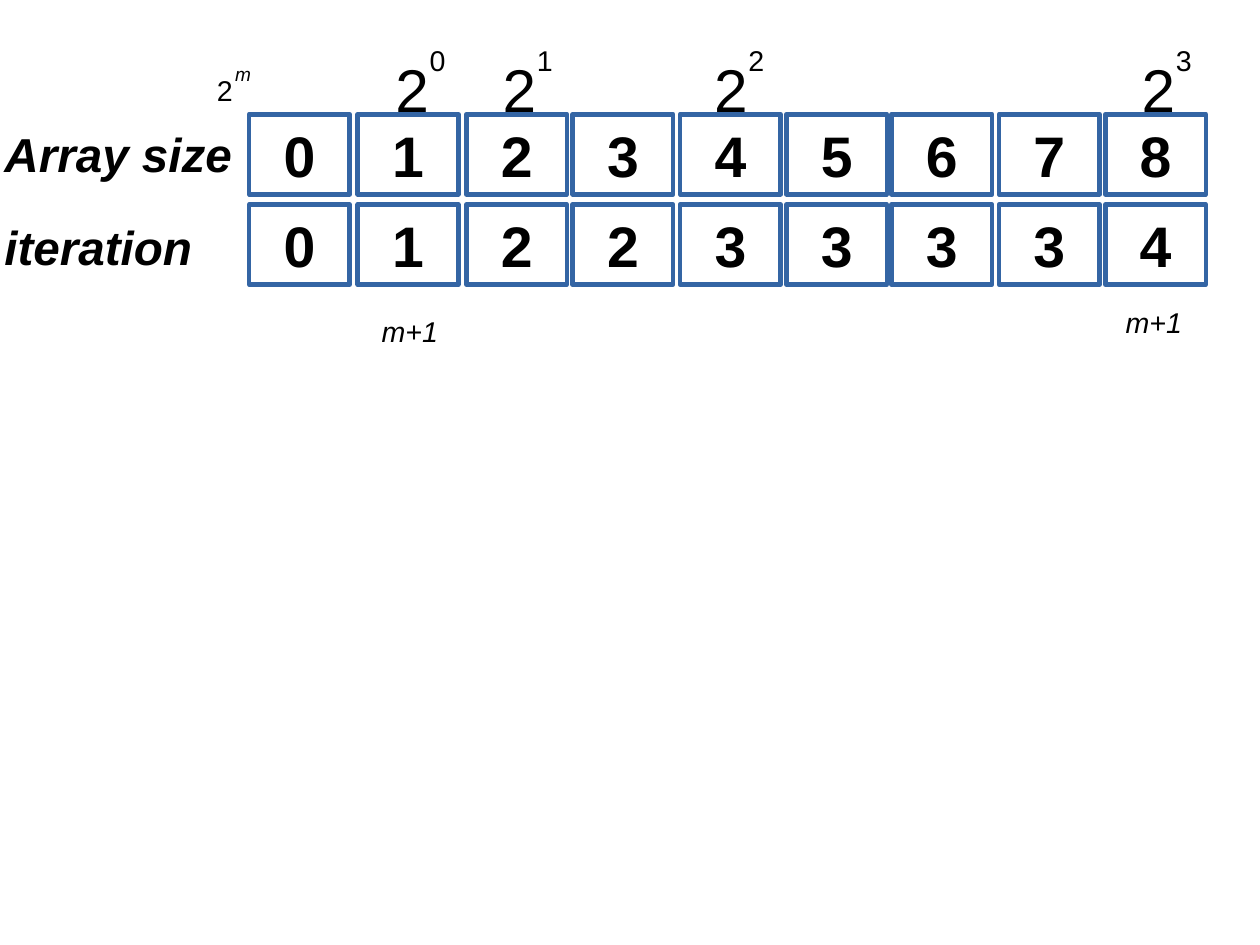
from dataclasses import dataclass

from pptx import Presentation
from pptx.dml.color import RGBColor
from pptx.enum.shapes import MSO_SHAPE
from pptx.enum.text import MSO_ANCHOR, PP_ALIGN
from pptx.util import Inches, Pt

RECTANGLE = MSO_SHAPE.RECTANGLE
MIDDLE = MSO_ANCHOR.MIDDLE
CENTER = PP_ALIGN.CENTER
BLANK_LAYOUT = 6

# The slide measures 28 by 21 centimetres
CM_PER_INCH = 2.54
SLIDE_WIDTH, SLIDE_HEIGHT = 28 / CM_PER_INCH, 21 / CM_PER_INCH


@dataclass(frozen=True)
class Theme:
    font: str = "Arial"
    ink: RGBColor = RGBColor(0x00, 0x00, 0x00)
    border: RGBColor = RGBColor(0x34, 0x65, 0xA4)
    border_width: float = 2.89
    cell_size: int = 36
    heading_size: int = 30
    base_size: int = 38
    label_size: int = 18
    small_size: int = 12


THEME = Theme()

# Left edge of each column, indexed by array size
COLUMN_LEFTS = [2.18, 3.13, 4.08, 5.01, 5.95, 6.88, 7.8, 8.74, 9.67]
CELL_WIDTH, CELL_HEIGHT = 0.88, 0.7
SIZE_ROW_TOP, ITERATION_ROW_TOP = 1, 1.79

# Left edge of the power of two above each array size 2^m
POWER_LEFTS = [3.36, 4.3, 6.15, 9.89]


def write(shape, text, size, bold=False, italic=False):
    shape.text_frame.word_wrap = False
    paragraph = shape.text_frame.paragraphs[0]
    paragraph.text = text
    font = paragraph.font
    font.name = THEME.font
    font.size = Pt(size)
    font.color.rgb = THEME.ink
    font.bold = bold
    font.italic = italic
    return paragraph


def add_label(slide, text, left, top, width, height, size, bold=False, italic=False):
    label = slide.shapes.add_textbox(
        Inches(left), Inches(top), Inches(width), Inches(height))
    write(label, text, size, bold, italic)


def add_cell(slide, value, left, top):
    cell = slide.shapes.add_shape(
        RECTANGLE, Inches(left), Inches(top), Inches(CELL_WIDTH), Inches(CELL_HEIGHT))
    cell.shadow.inherit = False
    cell.fill.background()
    cell.line.color.rgb = THEME.border
    cell.line.width = Pt(THEME.border_width)
    frame = cell.text_frame
    frame.vertical_anchor = MIDDLE
    frame.margin_left = frame.margin_right = Inches(0.12)
    frame.margin_top = frame.margin_bottom = Inches(0.07)
    write(cell, str(value), THEME.cell_size, bold=True).alignment = CENTER


def add_row(slide, heading, heading_top, heading_width, values, top):
    for left, value in zip(COLUMN_LEFTS, values):
        add_cell(slide, value, left, top)
    add_label(slide, heading, -0.06, heading_top, heading_width, 0.56,
              THEME.heading_size, bold=True, italic=True)


def add_power(slide, exponent, left):
    add_label(slide, "2", left, 0.41, 0.49, 0.69, THEME.base_size)
    add_label(slide, str(exponent), left + 0.3, 0.33, 0.34, 0.38, THEME.label_size)


def main():
    prs = Presentation()
    prs.slide_width, prs.slide_height = Inches(SLIDE_WIDTH), Inches(SLIDE_HEIGHT)
    slide = prs.slides.add_slide(prs.slide_layouts[BLANK_LAYOUT])

    # Array sizes and the iterations each one needs
    sizes = range(len(COLUMN_LEFTS))
    iterations = [size.bit_length() for size in sizes]
    add_row(slide, "Array size", 1.04, 2.19, sizes, SIZE_ROW_TOP)
    add_row(slide, "iteration", 1.86, 1.84, iterations, ITERATION_ROW_TOP)

    # Powers of two above the matching sizes
    for exponent, left in enumerate(POWER_LEFTS):
        add_power(slide, exponent, left)

    # General form 2^m, and m+1 below the first and last power
    add_label(slide, "2", 1.8, 0.59, 0.34, 0.38, THEME.label_size)
    add_label(slide, "m", 1.96, 0.5, 0.34, 0.29, THEME.small_size, italic=True)
    for left, top in [(3.24, 2.7), (9.75, 2.62)]:
        add_label(slide, "m+1", left, top, 0.69, 0.48, THEME.label_size, italic=True)

    prs.save("out.pptx")


if __name__ == "__main__":
    main()
